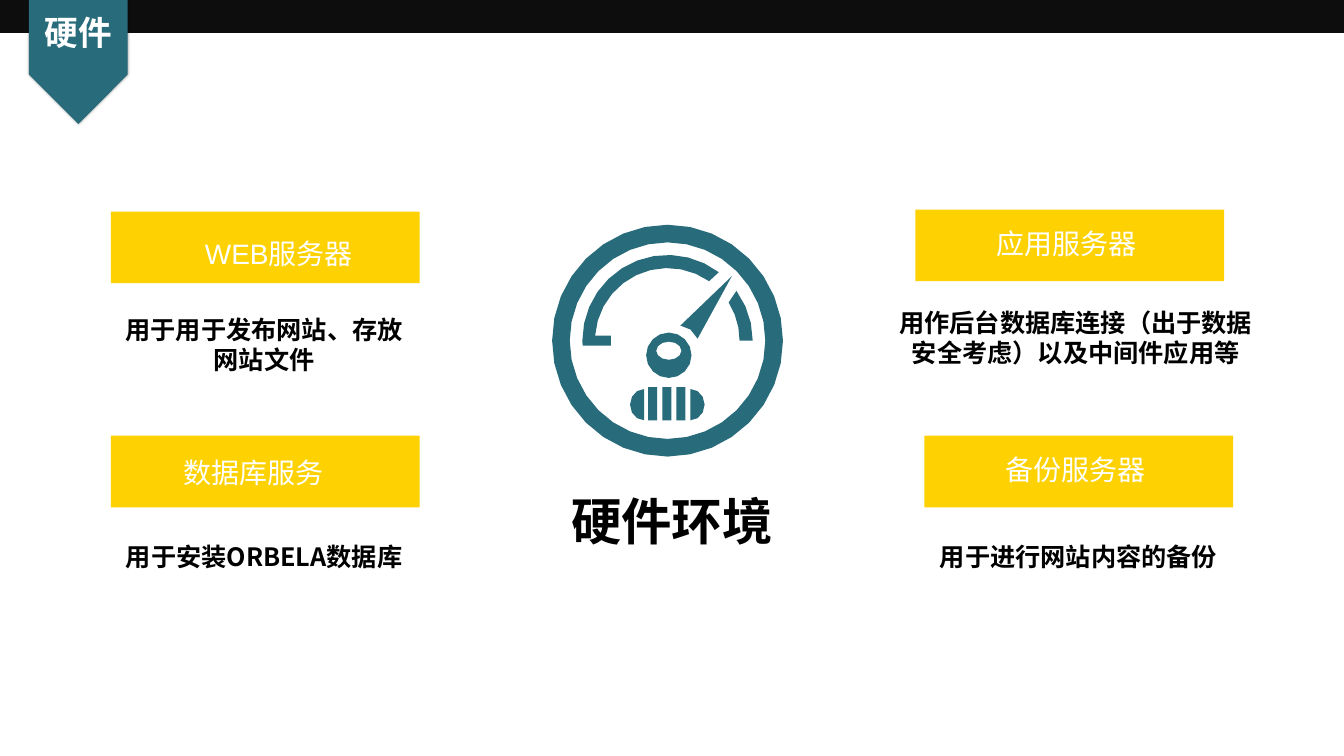
from dataclasses import dataclass
from math import cos, radians, sin

from lxml.etree import SubElement as Sub
from pptx import Presentation
from pptx.dml.color import RGBColor as Rgb
from pptx.enum.shapes import MSO_SHAPE as Kind
from pptx.enum.text import MSO_ANCHOR as Anchor, MSO_AUTO_SIZE as Fit, PP_ALIGN as Align
from pptx.oxml.ns import qn
from pptx.util import Inches, Pt


@dataclass(frozen=True)
class Theme:
    black: str = "000000"
    band: str = "0D0D0D"
    teal: str = "286B7B"
    gold: str = "FED202"
    white: str = "FFFFFF"
    latin: str = "Arial"
    han: str = "Noto Sans CJK SC"
    head: int = 36
    tag: int = 24
    label: int = 20
    note: int = 18


def write(frame, text, size, color, face, bold=False, anchor=Anchor.MIDDLE):
    frame.word_wrap = True
    frame.auto_size = Fit.NONE
    frame.vertical_anchor = anchor
    para = frame.paragraphs[0]
    para.alignment = Align.CENTER
    run = para.add_run()
    run.text = text
    font = run.font
    font.name, font.size, font.bold = face, Pt(size), bold
    font.color.rgb = Rgb.from_string(color)
    Sub(font._element, qn("a:ea"), typeface=Theme.han)


def curve(x, y, wide, high, steps, start=0, end=360):
    """Points of an elliptic arc, angles counted from the right and upward."""
    turns = [radians(start + (end - start) * i / steps) for i in range(steps + 1)]
    return [(x + wide * cos(t), y - high * sin(t)) for t in turns]


class Deck:
    """Lengths are cells of a grid, 133.33 columns by 75 rows."""

    cell = Inches(0.1)

    def __init__(self, theme):
        self.theme = theme
        self.show = Presentation()
        self.show.slide_width = self.grid(133.33)
        self.show.slide_height = self.grid(75)
        self.slide = self.show.slides.add_slide(self.show.slide_layouts[5])
        self.shapes = self.slide.shapes

    def grid(self, count):
        return round(count * self.cell)

    def place(self, *box):
        return [self.grid(n) for n in box]

    def paint(self, shape, color):
        shape.shadow.inherit = False
        shape.fill.solid()
        shape.fill.fore_color.rgb = Rgb.from_string(color)
        shape.line.fill.background()
        return shape

    def block(self, box, color, kind=Kind.RECTANGLE):
        return self.paint(self.shapes.add_shape(kind, *self.place(*box)), color)

    def text(self, box, words, **style):
        write(self.shapes.add_textbox(*self.place(*box)).text_frame, words, **style)

    def title(self, box, words, **style):
        item = self.shapes.title
        item.left, item.top, item.width, item.height = self.place(*box)
        write(item.text_frame, words, **style)

    def shade(self, shape):
        glow = Sub(shape._element.spPr.find(qn("a:effectLst")), qn("a:outerShdw"),
                   blurRad=str(Pt(2)), dist="0", dir="0", rotWithShape="0")
        tint = Sub(glow, qn("a:srgbClr"), val=self.theme.black)
        Sub(tint, qn("a:alpha"), val="40000")

    def outline(self, loops, color):
        loops = [[self.place(*point) for point in loop] for loop in loops]
        pen = self.shapes.build_freeform(*loops[0][0], scale=1.0)
        for order, loop in enumerate(loops):
            if order:
                pen.move_to(*loop[0])
            pen.add_line_segments(loop[1:], close=True)
        self.paint(pen.convert_to_shape(), color)


def gauge():
    x, y = 66.22, 33.8
    foot = [(60.6, 33.3), (60.6, 34.3), (57.8, 34.3)]
    loops = [
        # Outer ring
        curve(x, y, 11.45, 11.5, 32),
        curve(x, y, 9.7, 9.75, 32),
        # Scale, long and short part
        curve(x, y, 8.45, 8.5, 11, 180, 53) + curve(x, y, 7.2, 7.2, 10, 55, 176) + foot,
        curve(x, y, 8.45, 8.4, 3, 36, 0) + curve(x, y, 7.15, 7.15, 3, 0, 32),
        # Needle and knob
        [(67.5, 32.3), (72.6, 27.4), (69.2, 33.6), (68.5, 32.7)],
        curve(66.35, 35.25, 2.25, 2.25, 16),
        curve(66.35, 34.8, 1.25, 0.9, 12),
        # Round ends of the meter
        curve(63.9, 40.15, 1.4, 1.55, 6, 90, 270),
        curve(68.5, 40.15, 1.4, 1.55, 6, -90, 90),
    ]
    # Bars of the meter
    for left in (64.3, 65.7, 67.1):
        right = left + 0.9
        loops.append([(left, 38.4), (right, 38.4), (right, 41.7), (left, 41.7)])
    return loops


# Bar corner, label corner, label, note box, note
CARDS = [
    ((11, 21), (13.87, 22.3), "WEB服务器",
     (11.4, 30.6, 29.6, 7.1), "用于用于发布网站、存放网站文件"),
    ((11, 43.23), (11.37, 44.1), "数据库服务",
     (11, 51.66, 30.4, 7.1), "用于安装ORBELA数据库"),
    ((91.7, 43.23), (92.9, 43.8), "备份服务器",
     (92.2, 51.66, 29.6, 7.1), "用于进行网站内容的备份"),
    ((90.8, 20.8), (92, 21.36), "应用服务器",
     (87.66, 29.2, 38.1, 8.5), "用作后台数据库连接（出于数据安全考虑）以及中间件应用等"),
]


def main():
    theme = Theme()
    deck = Deck(theme)

    # Top band and ribbon
    deck.block((0, 0, 133.33, 3.26), theme.band)
    ribbon = deck.block((1.47, 1.1, 12.6, 9.8), theme.teal, Kind.PENTAGON)
    ribbon.rotation = 90
    deck.shade(ribbon)
    deck.text((2.86, 0.7, 9.8, 5), "硬件", size=theme.tag, color=theme.white,
              face=theme.han, bold=True, anchor=Anchor.TOP)

    # Centre title and gauge
    deck.title((50.9, 46.9, 31.5, 9.4), "硬件环境", size=theme.head,
               color=theme.black, face=theme.latin, bold=True)
    deck.outline(gauge(), theme.teal)

    # Server cards
    for bar, spot, label, box, note in CARDS:
        deck.block((*bar, 30.64, 7.1), theme.gold)
        deck.text((*spot, 27.6, 5.6), label, size=theme.label,
                  color=theme.white, face=theme.latin)
        deck.text(box, note, size=theme.note, color=theme.black,
                  face=theme.han, bold=True)

    deck.show.save("out.pptx")


if __name__ == "__main__":
    main()
